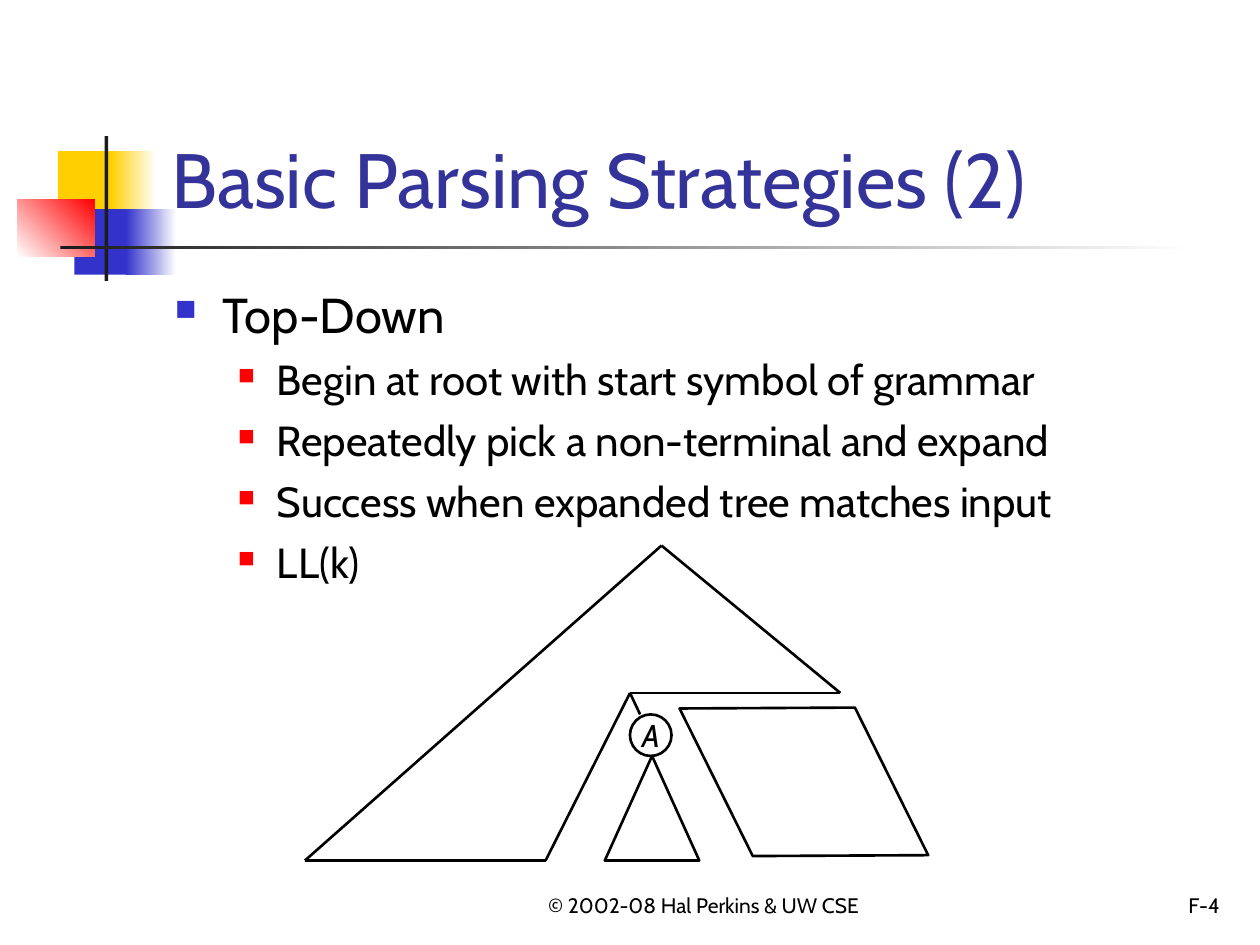
from lxml.etree import SubElement
from pptx import Presentation
from pptx.dml.color import RGBColor
from pptx.enum.shapes import MSO_CONNECTOR, MSO_SHAPE as Shape
from pptx.enum.text import MSO_ANCHOR as Anchor, PP_ALIGN as Align
from pptx.oxml.ns import qn
from pptx.util import Inches, Pt

FONT = "Cabin"
BLACK = RGBColor(0x00, 0x00, 0x00)
WHITE = RGBColor(0xFF, 0xFF, 0xFF)
CHARCOAL = RGBColor(0x1C, 0x1C, 0x1C)
YELLOW = RGBColor(0xFF, 0xCF, 0x01)
BLUE = RGBColor(0x33, 0x33, 0xCC)
RED = RGBColor(0xFF, 0x00, 0x00)
TITLE_BLUE = RGBColor(0x33, 0x33, 0x99)

ORNAMENT = [
    ((0.46, 1.2, 0.48, 0.52), (YELLOW,), 0),
    ((0.88, 1.2, 0.36, 0.52), (YELLOW, WHITE), 0),
    ((0.59, 1.66, 0.46, 0.52), (BLUE,), 0),
    ((1, 1.66, 0.4, 0.52), (BLUE, WHITE), 0),
    ((0.14, 1.58, 0.61, 0.46), (WHITE, RED), 45),
    ((0.83, 1.08, 0.03, 1.15), (CHARCOAL,), 0),
    ((0.48, 1.95, 9, 0.03), (CHARCOAL, WHITE), 0),
]
TOP_DOWN_STEPS = [
    "Begin at root with start symbol of grammar",
    "Repeatedly pick a non-terminal and expand",
    "Success when expanded tree matches input",
    "LL(k)",
]
ROOT, LEFT_LEAF, RIGHT_LEAF = (5.25, 4.33), (2.42, 6.83), (4.33, 6.83)
FRONTIER, RIGHT_EDGE, NODE_TOP = (5, 5.5), (6.67, 5.5), (5.08, 5.67)
TREE_EDGES = [
    (RIGHT_LEAF, LEFT_LEAF),
    (LEFT_LEAF, ROOT),
    (RIGHT_LEAF, FRONTIER),
    (FRONTIER, RIGHT_EDGE),
    (ROOT, RIGHT_EDGE),
    (FRONTIER, NODE_TOP),
]


def add_block(slide, box, colors, angle):
    block = slide.shapes.add_shape(Shape.RECTANGLE, *map(Inches, box))
    block.shadow.inherit = False
    block.line.fill.background()
    if len(colors) == 1:
        block.fill.solid()
        block.fill.fore_color.rgb = colors[0]
        return
    block.fill.gradient()
    block.fill.gradient_angle = angle
    for stop, color, position in zip(block.fill.gradient_stops, colors, (0, 1)):
        stop.color.rgb = color
        stop.position = position


def add_outline(slide, preset, box, rotation=0, adjustment=None):
    outline = slide.shapes.add_shape(preset, *map(Inches, box))
    outline.shadow.inherit = False
    outline.fill.background()
    outline.line.color.rgb = BLACK
    outline.line.width = Pt(1.5)
    outline.rotation = rotation
    if adjustment is not None:
        outline.adjustments[0] = adjustment
    return outline


def add_edge(slide, start, end):
    edge = slide.shapes.add_connector(
        MSO_CONNECTOR.STRAIGHT, *map(Inches, start + end))
    edge.line.color.rgb = BLACK
    edge.line.width = Pt(1.5)
    SubElement(edge._element.spPr, qn("a:effectLst"))


def write(paragraph, text, size, color=BLACK, align=Align.LEFT, italic=False):
    paragraph.alignment = align
    run = paragraph.add_run()
    run.text = text
    run.font.name = FONT
    run.font.size = Pt(size)
    run.font.color.rgb = color
    run.font.italic = italic


def add_text_frame(slide, box, anchor):
    frame = slide.shapes.add_textbox(*map(Inches, box)).text_frame
    frame.word_wrap = True
    frame.vertical_anchor = anchor
    return frame


def set_bullet(paragraph, color, percent, indent, hanging):
    properties = paragraph._p.get_or_add_pPr()
    properties.set("marL", str(Inches(indent)))
    properties.set("indent", str(-Inches(hanging)))
    bullet_color = SubElement(properties, qn("a:buClr"))
    SubElement(bullet_color, qn("a:srgbClr"), val=str(color))
    SubElement(properties, qn("a:buSzPct"), val=str(percent * 1000))
    SubElement(properties, qn("a:buChar"), char="■")


def add_strategy(slide):
    body = add_text_frame(slide, (1.29, 2.21, 8.5, 4.5), Anchor.TOP)
    heading = body.paragraphs[0]
    set_bullet(heading, BLUE, 60, 0.38, 0.38)
    write(heading, "Top-Down", 28)
    for step in TOP_DOWN_STEPS:
        item = body.add_paragraph()
        item.level = 1
        set_bullet(item, RED, 55, 0.81, 0.31)
        item.space_before = Pt(6)
        write(item, step, 24)


def add_parse_tree(slide):
    node = add_outline(slide, Shape.OVAL, (5, 5.67, 0.33, 0.33)).text_frame
    node.word_wrap = False
    node.vertical_anchor = Anchor.MIDDLE
    write(node.paragraphs[0], "A", 18, align=Align.CENTER, italic=True)
    add_outline(slide, Shape.ISOSCELES_TRIANGLE, (4.8, 6, 0.75, 0.83))
    add_outline(slide, Shape.PARALLELOGRAM, (5.42, 5.58, 1.92, 1.25),
                rotation=63.6, adjustment=0.49)
    for start, end in TREE_EDGES:
        add_edge(slide, start, end)


def main():
    """Build the slide on top-down parsing and save it."""
    deck = Presentation()
    deck.slide_width, deck.slide_height = Inches(10), Inches(7.5)
    slide = deck.slides.add_slide(deck.slide_layouts[6])
    for box, colors, angle in ORNAMENT:
        add_block(slide, box, colors, angle)
    footer = add_text_frame(slide, (4, 6.83, 3.17, 0.5), Anchor.BOTTOM)
    write(footer.paragraphs[0], "© 2002-08 Hal Perkins & UW CSE", 12,
          align=Align.CENTER)
    number = add_text_frame(slide, (7.7, 6.83, 2.08, 0.5), Anchor.BOTTOM)
    write(number.paragraphs[0], "F-4", 12, align=Align.RIGHT)
    title = add_text_frame(slide, (1.26, 0.23, 8.52, 1.6), Anchor.BOTTOM)
    write(title.paragraphs[0], "Basic Parsing Strategies (2)", 44, TITLE_BLUE)
    add_strategy(slide)
    add_parse_tree(slide)
    deck.save("out.pptx")


if __name__ == "__main__":
    main()
